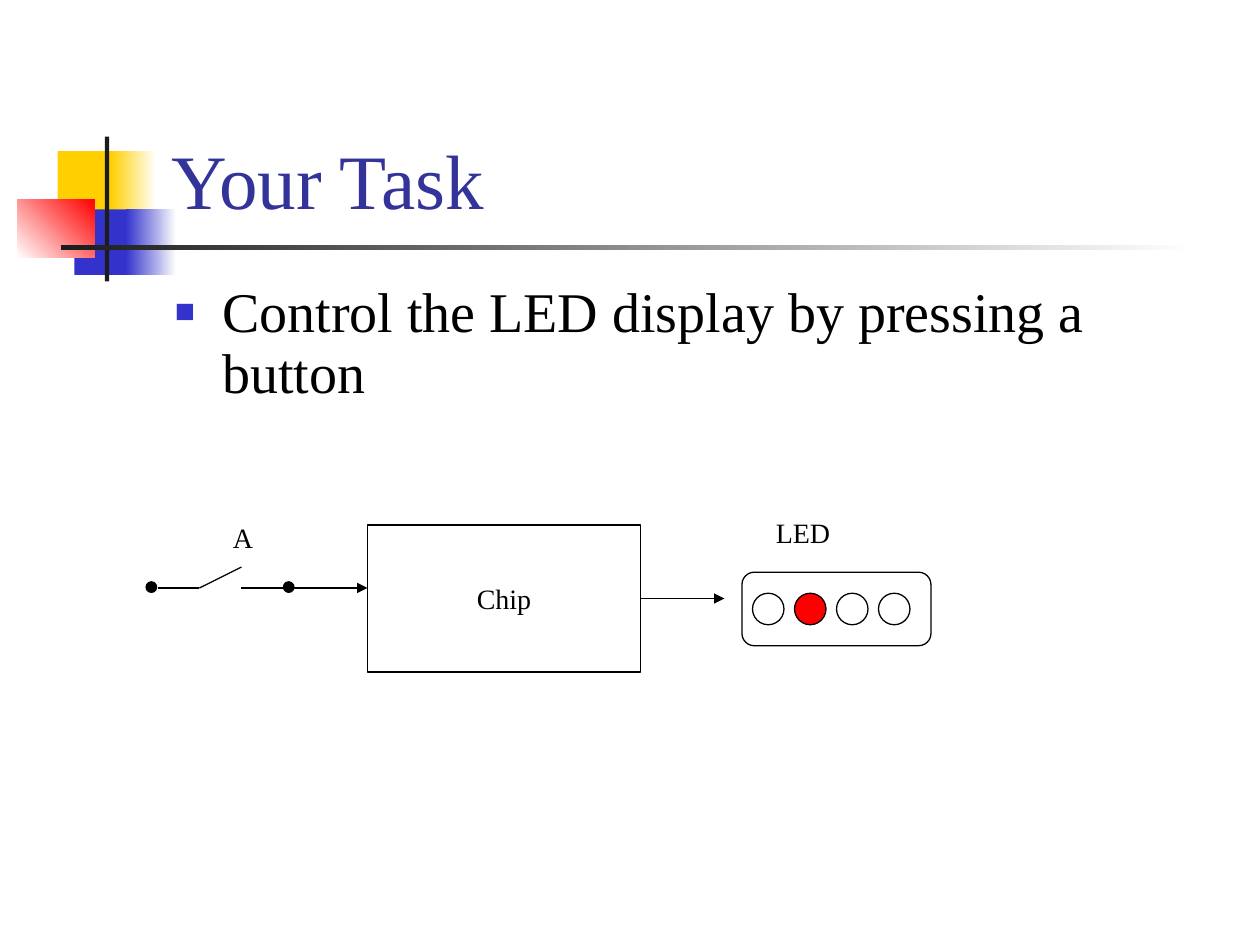
from pptx import Presentation
from pptx.dml.color import RGBColor
from pptx.enum.shapes import MSO_CONNECTOR, MSO_SHAPE
from pptx.enum.text import MSO_ANCHOR, MSO_AUTO_SIZE, PP_ALIGN
from pptx.oxml.ns import qn
from pptx.util import Pt
from lxml import etree

RECT, OVAL = MSO_SHAPE.RECTANGLE, MSO_SHAPE.OVAL
ROUND = MSO_SHAPE.ROUNDED_RECTANGLE
LINE = MSO_CONNECTOR.STRAIGHT
LEFT, CENTER = PP_ALIGN.LEFT, PP_ALIGN.CENTER
TOP, MIDDLE, BOTTOM = MSO_ANCHOR.TOP, MSO_ANCHOR.MIDDLE, MSO_ANCHOR.BOTTOM
FIXED = MSO_AUTO_SIZE.NONE

THEME = {
    "font": "Times New Roman",
    "title": 44, "body": 32, "label": 16, "line": 0.75,
    "black": "000000", "white": "FFFFFF", "ink": "1C1C1C", "navy": "333399",
    "gold": "FFCF01", "blue": "3333CC", "red": "FF0000",
}

# Text: left, top, width, height
TITLE = ("Your Task", (90.72, 17, 613.44, 115.2))
BULLET = ("Control the LED display by pressing a button", (92.88, 159, 612, 81.36))
LABELS = [("A", (126, 294, 26, 26.5)), ("LED", (436.3, 291, 45.4, 26.5))]

# Ornament: place, start colour, end colour, gradient angle
DECOR = [
    ((33, 86.4, 34.6, 37.4), "gold", None, 0),
    ((63.4, 86.4, 25.9, 37.4), "gold", "white", 0),
    ((42.5, 119.7, 33.1, 37.4), "blue", None, 0),
    ((72, 119.7, 28.8, 37.4), "blue", "white", 0),
    ((9.8, 113.8, 44.3, 33.3), "white", "red", 45),
    ((59.9, 78, 2.5, 82.8), "ink", None, 0),
    ((34.8, 140, 648, 2.7), "ink", "white", 0),
]

CHIP = ("Chip", (210, 300, 156, 84))
WIRE, LIFT, STEP = 336, 12, 24
SWITCH = 90
DOT = 6
PANEL = (424, 327, 108, 42)
LAMPS = [None, "red", None, None]
LAMP, INSET = 18, 6


def color(name):
    return RGBColor.from_string(THEME[name])


def points(box):
    return [Pt(n) for n in box]


def shape(slide, kind, box, fill=None, end=None, angle=0, line=None):
    item = slide.shapes.add_shape(kind, *points(box))
    item.shadow.inherit = False
    if fill is None:
        item.fill.background()
    elif end is None:
        item.fill.solid()
        item.fill.fore_color.rgb = color(fill)
    else:
        item.fill.gradient()
        item.fill.gradient_angle = angle
        for stop, name in zip(item.fill.gradient_stops, (fill, end)):
            stop.color.rgb = color(name)
    if line is None:
        item.line.fill.background()
    else:
        item.line.color.rgb = color(line)
        item.line.width = Pt(THEME["line"])
    return item


def wire(slide, start, end, arrow=False):
    item = slide.shapes.add_connector(LINE, *points(start + end))
    item.line.color.rgb = color("black")
    item.line.width = Pt(THEME["line"])
    props = item.line._get_or_add_ln()
    if arrow:
        etree.SubElement(props, qn("a:tailEnd"), type="triangle")
    etree.SubElement(item._element.spPr, qn("a:effectLst"))
    return item


def write(item, text, size, tint="black", align=LEFT, anchor=TOP, wrap=True, bullet=False):
    frame = item.text_frame
    frame.text = text
    form = {"word_wrap": wrap, "auto_size": FIXED, "vertical_anchor": anchor}
    for key, value in form.items():
        setattr(frame, key, value)
    para = frame.paragraphs[0]
    para.alignment = align
    if bullet:
        mark(para)
    for key, value in {"name": THEME["font"], "size": Pt(THEME[size])}.items():
        setattr(para.font, key, value)
    para.font.color.rgb = color(tint)
    return para


def mark(para):
    """Give the paragraph a hanging square bullet."""
    props = para._p.get_or_add_pPr()
    props.set("marL", str(Pt(27)))
    props.set("indent", str(-Pt(27)))
    tint = etree.SubElement(props, qn("a:buClr"))
    etree.SubElement(tint, qn("a:srgbClr"), val=THEME["blue"])
    etree.SubElement(props, qn("a:buSzPct"), val="60000")
    etree.SubElement(props, qn("a:buFont"), typeface=THEME["font"])
    etree.SubElement(props, qn("a:buChar"), char="■")


def heading(slide):
    text, box = TITLE
    title = slide.shapes.title
    for key, value in zip(("left", "top", "width", "height"), points(box)):
        setattr(title, key, value)
    write(title, text, "title", tint="navy", anchor=BOTTOM)
    text, box = BULLET
    body = slide.shapes.add_textbox(*points(box))
    write(body, text, "body", bullet=True).line_spacing = 0.9


def circuit(slide):
    text, box = CHIP
    chip = shape(slide, RECT, box, line="black")
    write(chip, text, "label", align=CENTER, anchor=MIDDLE, wrap=False)
    left, top, width, height = box

    a, b, c, d = [SWITCH + STEP * i for i in range(4)]
    wire(slide, (b, WIRE), (c, WIRE - LIFT))
    wire(slide, (a, WIRE), (b, WIRE))
    wire(slide, (c, WIRE), (d, WIRE))
    for x in (a - DOT - 0.5, d):
        shape(slide, OVAL, (x, WIRE - DOT / 2 - 0.5, DOT, DOT), "black", line="black")
    wire(slide, (d + DOT, WIRE), (left, WIRE), arrow=True)

    right, middle = left + width, top + height / 2
    out = wire(slide, (right, middle), (right + 2 * STEP, middle), arrow=True)
    out.begin_connect(chip, 3)


def display(slide):
    left, top, _, height = PANEL
    for i, fill in enumerate(LAMPS):
        box = (left + INSET + STEP * i, top + (height - LAMP) / 2, LAMP, LAMP)
        shape(slide, OVAL, box, fill, line="black")
    shape(slide, ROUND, PANEL, line="black")


def main():
    deck = Presentation()
    deck.slide_width, deck.slide_height = Pt(720), Pt(540)
    slide = deck.slides.add_slide(deck.slide_layouts[5])
    for box, fill, end, angle in DECOR:
        shape(slide, RECT, box, fill, end, angle)
    heading(slide)
    circuit(slide)
    display(slide)
    for text, box in LABELS:
        write(slide.shapes.add_textbox(*points(box)), text, "label", wrap=False)
    deck.save("out.pptx")


if __name__ == "__main__":
    main()
